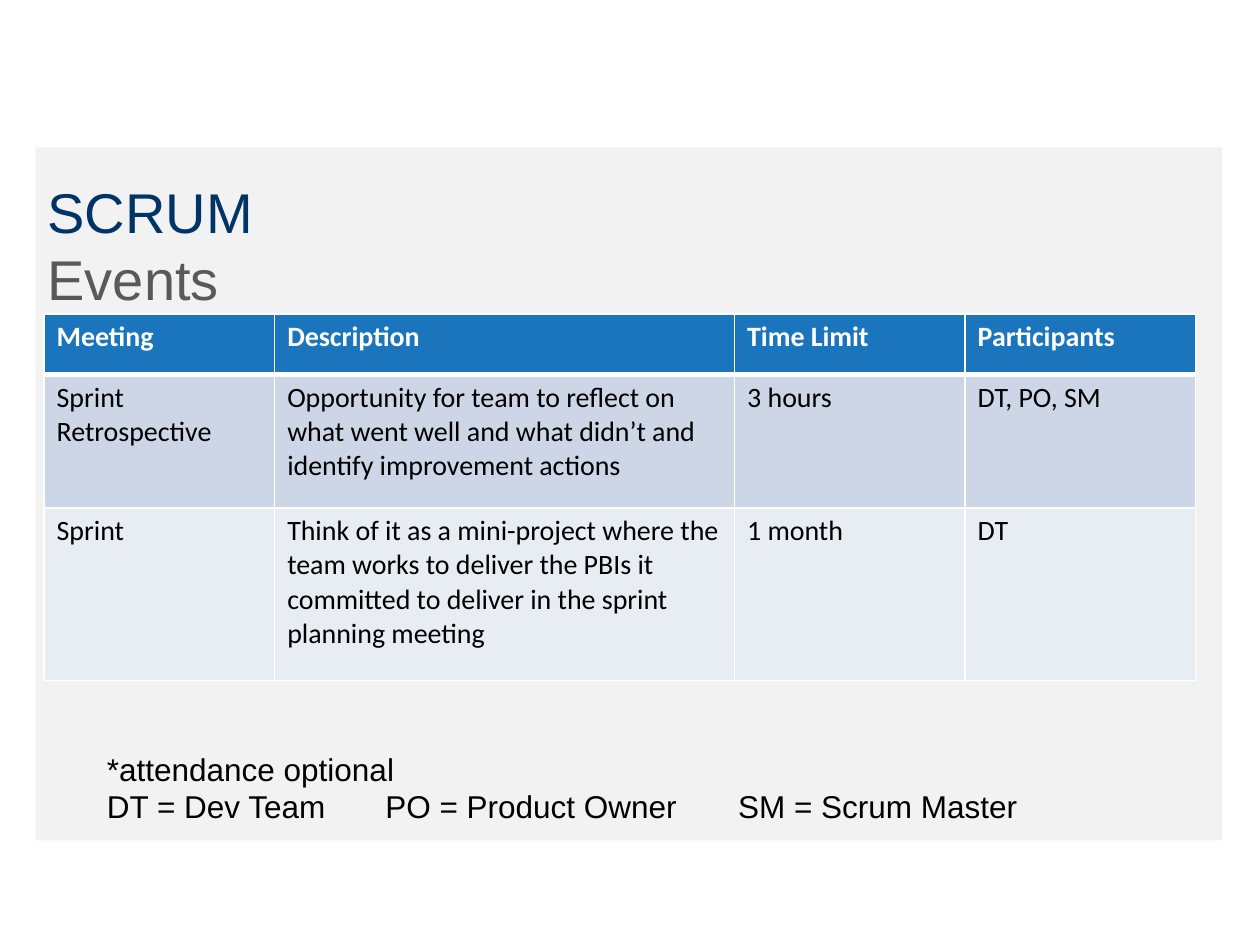
from lxml.etree import SubElement
from pptx import Presentation
from pptx.dml.color import RGBColor
from pptx.enum.shapes import MSO_SHAPE
from pptx.enum.text import MSO_ANCHOR
from pptx.oxml import parse_xml
from pptx.oxml.ns import nsdecls, qn
from pptx.util import Inches, Pt

COLORS = {
    "panel": "F2F2F2", "navy": "003366", "gray": "595959", "black": "000000",
    "white": "FFFFFF", "header": "1B75BC", "band_dark": "CDD6E7", "band_light": "E8ECF3",
}


def style(paragraph, font_name, size, color, bold=False):
    font = paragraph.font
    font.name, font.size, font.bold = font_name, Pt(size), bold
    font.color.rgb = RGBColor.from_string(COLORS[color])


def add_lines(left, top, width, height, lines, size):
    frame = slide.shapes.add_textbox(
        Inches(left), Inches(top), Inches(width), Inches(height)).text_frame
    frame.word_wrap = True
    frame.text = "\n".join(text for text, _ in lines)
    for paragraph, (_, color) in zip(frame.paragraphs, lines):
        style(paragraph, "Arial", size, color)
    return frame


prs = Presentation()
prs.slide_width, prs.slide_height = Inches(10), Inches(7.5)
slide = prs.slides.add_slide(prs.slide_layouts[6])

# Background panel
panel = slide.shapes.add_shape(
    MSO_SHAPE.RECTANGLE, Inches(0.28), Inches(1.17), Inches(9.42), Inches(5.5))
panel.shadow.inherit = False
panel.fill.solid()
panel.fill.fore_color.rgb = RGBColor.from_string(COLORS["panel"])
panel.line.fill.background()

# Title
title = add_lines(0.28, 1.31, 1.97, 1.26, [("SCRUM", "navy"), ("Events", "gray")], 32)
title.vertical_anchor = MSO_ANCHOR.MIDDLE

# Legend, with the abbreviations spaced by tab stops
legend = add_lines(0.75, 5.9, 8.35, 0.71, [
    ("*attendance optional", "black"),
    ("DT = Dev Team\tPO = Product Owner\tSM = Scrum Master", "black"),
], 18)
tab_stops = parse_xml(f"<a:tabLst {nsdecls('a')}/>")
for position in (2.21, 5.01):
    SubElement(tab_stops, qn("a:tab"), pos=str(Inches(position)), algn="l")
legend.paragraphs[1]._p.get_or_add_pPr().insert(0, tab_stops)

# Events table
events = [
    ("Meeting", "Description", "Time Limit", "Participants"),
    ("Sprint Retrospective",
     "Opportunity for team to reflect on what went well and what didn’t "
     "and identify improvement actions", "3 hours", "DT, PO, SM"),
    ("Sprint",
     "Think of it as a mini-project where the team works to deliver the PBIs "
     "it committed to deliver in the sprint planning meeting", "1 month", "DT"),
]
column_widths = (1.83, 3.65, 1.83, 1.83)
row_heights = (0.48, 1.06, 1.37)
row_fills = ("header", "band_dark", "band_light")
rule_widths = (1, 3, 1, 1)  # horizontal rules, from top to bottom

table = slide.shapes.add_table(
    len(events), len(column_widths), Inches(0.35), Inches(2.49),
    Inches(sum(column_widths)), Inches(sum(row_heights))).table
for column, width in zip(table.columns, column_widths):
    column.width = Inches(width)

for r, event in enumerate(events):
    table.rows[r].height = Inches(row_heights[r])
    is_header = r == 0
    for c, text in enumerate(event):
        cell = table.cell(r, c)
        cell.text = text
        style(cell.text_frame.paragraphs[0], "Calibri", 16,
              "white" if is_header else "black", is_header)
        cell.fill.solid()
        cell.fill.fore_color.rgb = RGBColor.from_string(COLORS[row_fills[r]])
        # White borders, heavier under the header
        borders = (("L", 1), ("R", 1), ("T", rule_widths[r]), ("B", rule_widths[r + 1]))
        for i, (side, width) in enumerate(borders):
            cell._tc.get_or_add_tcPr().insert(i, parse_xml(
                f'<a:ln{side} {nsdecls("a")} w="{Pt(width)}"><a:solidFill>'
                f'<a:srgbClr val="{COLORS["white"]}"/></a:solidFill></a:ln{side}>'))

prs.save("out.pptx")
